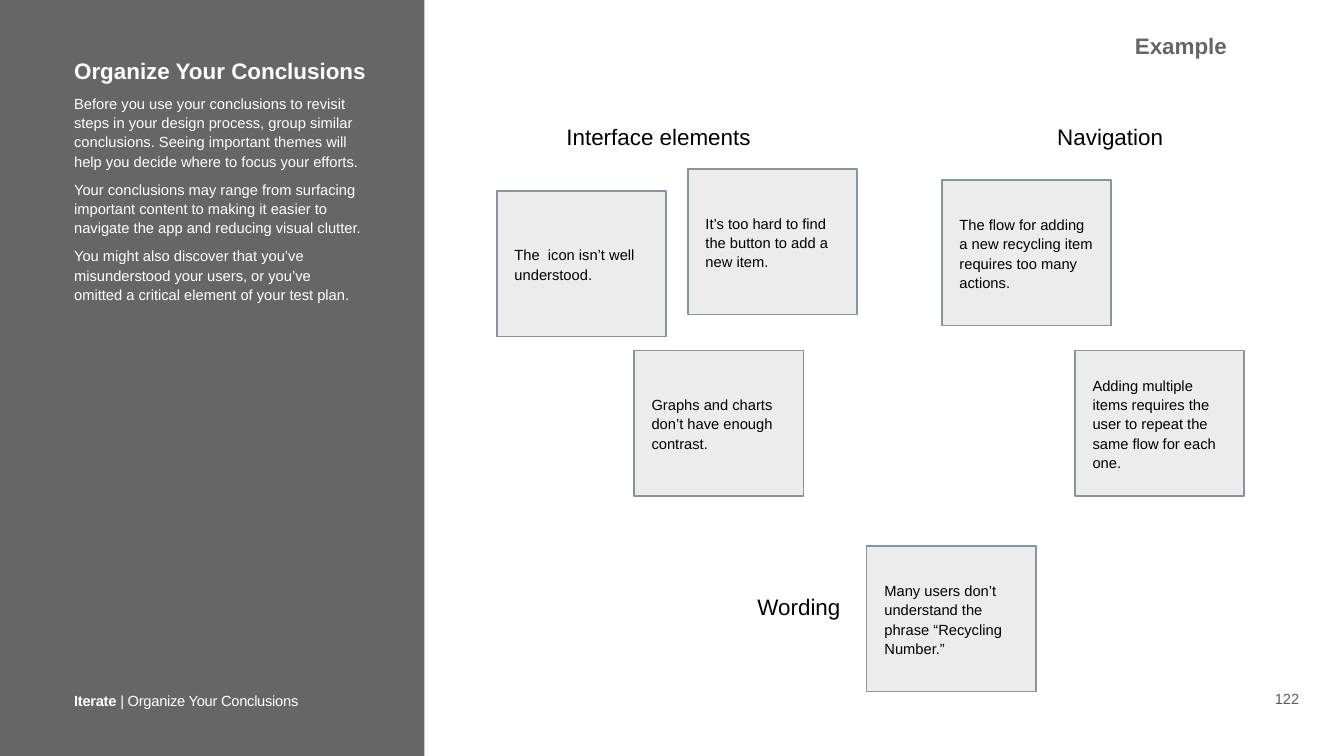
from pptx import Presentation
from pptx.dml.color import RGBColor
from pptx.enum.shapes import MSO_SHAPE as Shape
from pptx.enum.text import MSO_ANCHOR as Anchor, MSO_AUTO_SIZE as AutoSize, PP_ALIGN as Align
from pptx.oxml.ns import qn
from pptx.util import Inches, Pt
from lxml import etree

NOTE_WIDTH, NOTE_HEIGHT = 3.36, 2.89
HEADING_SIZE, BODY_SIZE = 32, 21

GUIDANCE = [
    "Before you use your conclusions to revisit steps in your design process, group similar "
    "conclusions. Seeing important themes will help you decide where to focus your efforts.",
    "Your conclusions may range from surfacing important content to making it easier to "
    "navigate the app and reducing visual clutter.",
    "You might also discover that you’ve misunderstood your users, or you’ve \n"
    "omitted a critical element of your test plan.",
]
THEMES = [  # label, left, top, width
    ("Interface elements", 11.18, 2.35, 3.79),
    ("Navigation", 20.92, 2.35, 2.24),
    ("Wording", 14.97, 11.68, 1.77),
]
NOTES = [  # conclusion, left, top
    ("The  icon isn’t well understood.", 9.86, 3.79),
    ("It’s too hard to find the button to add a new item.", 13.65, 3.35),
    ("The flow for adding a new recycling item requires too many actions.", 18.69, 3.57),
    ("Graphs and charts don’t have enough contrast.", 12.58, 6.95),
    ("Adding multiple items requires the user to repeat the same flow for each one.", 21.33, 6.95),
    ("Many users don’t understand the phrase “Recycling Number.”", 17.2, 10.83),
]


def color(value):
    return RGBColor.from_string(value)


def add_text(para, text, size=BODY_SIZE, fill="000000", bold=False, tracking=None):
    for index, line in enumerate(text.split("\n")):
        if index:
            para.add_line_break()
        span = para.add_run()
        span.text = line
        span.font.name = "Arial"
        span.font.size = Pt(size)
        span.font.bold = bold
        span.font.color.rgb = color(fill)
        if tracking is not None:
            span.font._element.set("spc", str(round(tracking * 100)))


def set_frame(box, inset, anchor=Anchor.TOP, wrap=True):
    frame = box.text_frame
    frame.margin_left = frame.margin_right = Inches(inset)
    frame.margin_top = frame.margin_bottom = Inches(inset)
    frame.vertical_anchor = anchor
    frame.word_wrap = wrap
    return frame


def add_box(page, left, top, width, height, inset=0.08, anchor=Anchor.TOP, wrap=False):
    box = page.shapes.add_textbox(Inches(left), Inches(top), Inches(width), Inches(height))
    frame = set_frame(box, inset, anchor, wrap)
    frame.auto_size = AutoSize.SHAPE_TO_FIT_TEXT
    return frame


def add_panel(page, left, top, width, height, fill):
    panel = page.shapes.add_shape(
        Shape.RECTANGLE, Inches(left), Inches(top), Inches(width), Inches(height))
    panel.shadow.inherit = False
    panel.fill.solid()
    panel.fill.fore_color.rgb = color(fill)
    panel.line.fill.background()
    return panel


def add_note(page, text, left, top):
    note = add_panel(page, left, top, NOTE_WIDTH, NOTE_HEIGHT, "D5D5D5")
    tint = note._element.spPr.find(qn("a:solidFill")).find(qn("a:srgbClr"))
    etree.SubElement(tint, qn("a:alpha")).set("val", "44000")
    note.line.color.rgb = color("87939D")
    note.line.width = Pt(2)
    para = set_frame(note, 0.35, Anchor.MIDDLE).paragraphs[0]
    para.alignment = Align.LEFT
    para.line_spacing = 1.1
    add_text(para, text)


def add_theme(page, text, left, top, width):
    para = add_box(page, left, top, width, 0.67, 0.06, Anchor.MIDDLE).paragraphs[0]
    para.line_spacing = Pt(42)
    add_text(para, text, HEADING_SIZE)


def add_sidebar(page):
    add_panel(page, -0.01, -0.01, 8.43, 15.02, "666666")
    frame = add_box(page, 1.39, 1.06, 6.11, 4.98, wrap=True)
    add_text(frame.paragraphs[0], "Organize Your Conclusions", HEADING_SIZE, "FFFFFF", bold=True)
    for text in GUIDANCE:
        para = frame.add_paragraph()
        para.line_spacing = 1.1
        para.space_before = Pt(12)
        add_text(para, text, fill="FFFFFF")


def add_footer(page):
    para = add_box(page, 1.39, 13.58, 4.61, 0.51).paragraphs[0]
    para.line_spacing = 1.2
    add_text(para, "Iterate", fill="FFFFFF", bold=True, tracking=-0.4)
    add_text(para, " | Organize Your Conclusions", fill="FFFFFF", tracking=-0.4)

    number = add_box(page, 25.21, 13.61, 0.66, 0.5, anchor=Anchor.BOTTOM).paragraphs[0]
    number.alignment = Align.CENTER
    add_text(number, "122", fill="5E5E5E")


def main():
    deck = Presentation()
    deck.slide_width, deck.slide_height = Inches(26.67), Inches(15)
    page = deck.slides.add_slide(deck.slide_layouts[6])

    # Sidebar and footer
    add_sidebar(page)
    add_footer(page)

    # Conclusions grouped by theme
    for theme in THEMES:
        add_theme(page, *theme)
    for note in NOTES:
        add_note(page, *note)

    # Corner tag
    tag = add_box(page, 22.44, 0.56, 2, 0.69, anchor=Anchor.MIDDLE).paragraphs[0]
    add_text(tag, "Example", HEADING_SIZE, "666666", bold=True)

    deck.save("out.pptx")


if __name__ == "__main__":
    main()
